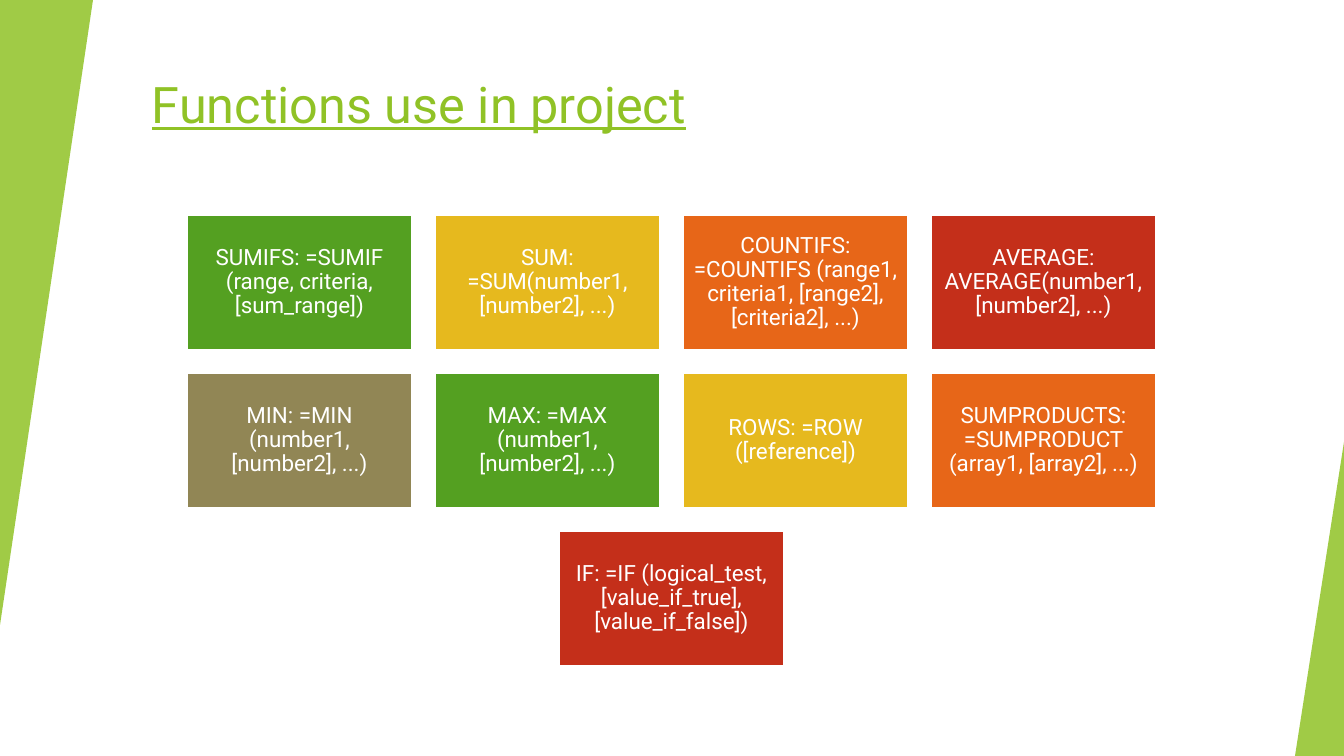
from pptx import Presentation
from pptx import util as u
from pptx.dml.color import RGBColor
from pptx.enum import shapes, text
from pptx.oxml.ns import qn
from lxml import etree

PX = 12192000 / 1344
SLIDE_WIDTH, SLIDE_HEIGHT = 1344, 756
FONT = "Roboto"
LIME, WHITE = "90C226", "FFFFFF"
GREEN, YELLOW, ORANGE, RED, OLIVE = "54A021", "E6B91E", "E76618", "C42F1A", "918655"

FUNCTION_ROWS = [
    [
        ("SUMIFS: =SUMIF (range, criteria, [sum_range])", GREEN),
        ("SUM: =SUM(number1, [number2], ...)", YELLOW),
        ("COUNTIFS: =COUNTIFS (range1, criteria1, [range2], [criteria2], ...)", ORANGE),
        ("AVERAGE: AVERAGE(number1, [number2], ...)", RED),
    ],
    [
        ("MIN: =MIN (number1, [number2], ...)", OLIVE),
        ("MAX: =MAX (number1, [number2], ...)", GREEN),
        ("ROWS: =ROW ([reference])", YELLOW),
        ("SUMPRODUCTS: =SUMPRODUCT (array1, [array2], ...)", ORANGE),
    ],
    [("IF: =IF (logical_test, [value_if_true], [value_if_false])", RED)],
]


def px(length):
    """Turn a length in px into EMU."""
    return u.Emu(round(length * PX))


def color(value):
    """Turn a hex string into a colour."""
    return RGBColor.from_string(value)


def box_emu(box):
    """Turn a left, top, width, height box in px into EMU."""
    return [px(length) for length in box]


def style_text(paragraph, size, value):
    """Format every run of a paragraph."""
    for run in paragraph.runs:
        run.font.name = FONT
        run.font.size = u.Pt(size)
        run.font.color.rgb = color(value)


def add_title(slide, box, wording):
    """Place the underlined slide title."""
    frame = slide.shapes.add_textbox(*box_emu(box)).text_frame
    frame.word_wrap = True
    frame.text = wording
    paragraph = frame.paragraphs[0]
    style_text(paragraph, 36, LIME)
    paragraph.runs[0].font.underline = True


def add_edge_wedge(slide, box, rotation):
    """Place a translucent right-angled wedge along a slide edge."""
    wedge = slide.shapes.add_shape(shapes.MSO_SHAPE.ISOSCELES_TRIANGLE, *box_emu(box))
    wedge.adjustments[0] = 1
    wedge.rotation = rotation
    wedge.shadow.inherit = False
    wedge.fill.solid()
    wedge.fill.fore_color.rgb = color(LIME)
    wedge.line.fill.background()
    fill_color = wedge.fill._xPr.find(qn("a:solidFill"))[0]
    etree.SubElement(fill_color, qn("a:alpha"), val="85000")


def add_tile(slide, box, wording, fill):
    """Place one coloured tile with a function and its syntax."""
    tile = slide.shapes.add_shape(shapes.MSO_SHAPE.RECTANGLE, *box_emu(box))
    tile.shadow.inherit = False
    tile.fill.solid()
    tile.fill.fore_color.rgb = color(fill)
    tile.line.color.rgb = color(WHITE)
    tile.line.width = u.Pt(1.5)
    frame = tile.text_frame
    frame.word_wrap = True
    frame.vertical_anchor = text.MSO_ANCHOR.MIDDLE
    frame.margin_left = frame.margin_right = px(7)
    frame.margin_top = frame.margin_bottom = px(7)
    frame.text = wording
    paragraph = frame.paragraphs[0]
    paragraph.alignment = text.PP_ALIGN.CENTER
    paragraph.line_spacing = 0.9
    style_text(paragraph, 16, WHITE)


def add_function_grid(slide, box, rows):
    """Place centred rows of equal tiles inside a box."""
    left, top, width, height = box
    gap = 23
    columns = max(len(row) for row in rows)
    tile_width = (width + gap) // columns - gap
    tile_height = (height + gap) // len(rows) - gap
    for row_index, row in enumerate(rows):
        row_width = len(row) * (tile_width + gap) - gap
        row_left = left + (width - row_width) // 2
        tile_top = top + row_index * (tile_height + gap)
        for column, (wording, fill) in enumerate(row):
            tile_left = row_left + column * (tile_width + gap)
            add_tile(slide, (tile_left, tile_top, tile_width, tile_height), wording, fill)


def main():
    """Build and save the presentation."""
    presentation = Presentation()
    presentation.slide_width = px(SLIDE_WIDTH)
    presentation.slide_height = px(SLIDE_HEIGHT)
    slide = presentation.slides.add_slide(presentation.slide_layouts[6])
    add_title(slide, (142, 68, 1124, 121), "Functions use in project")
    add_edge_wedge(slide, (0, 0, 93, 625), 180)
    add_edge_wedge(slide, (1295, 442, 49, 314), 0)
    add_function_grid(slide, (187, 215, 969, 451), FUNCTION_ROWS)
    presentation.save("out.pptx")


if __name__ == "__main__":
    main()
